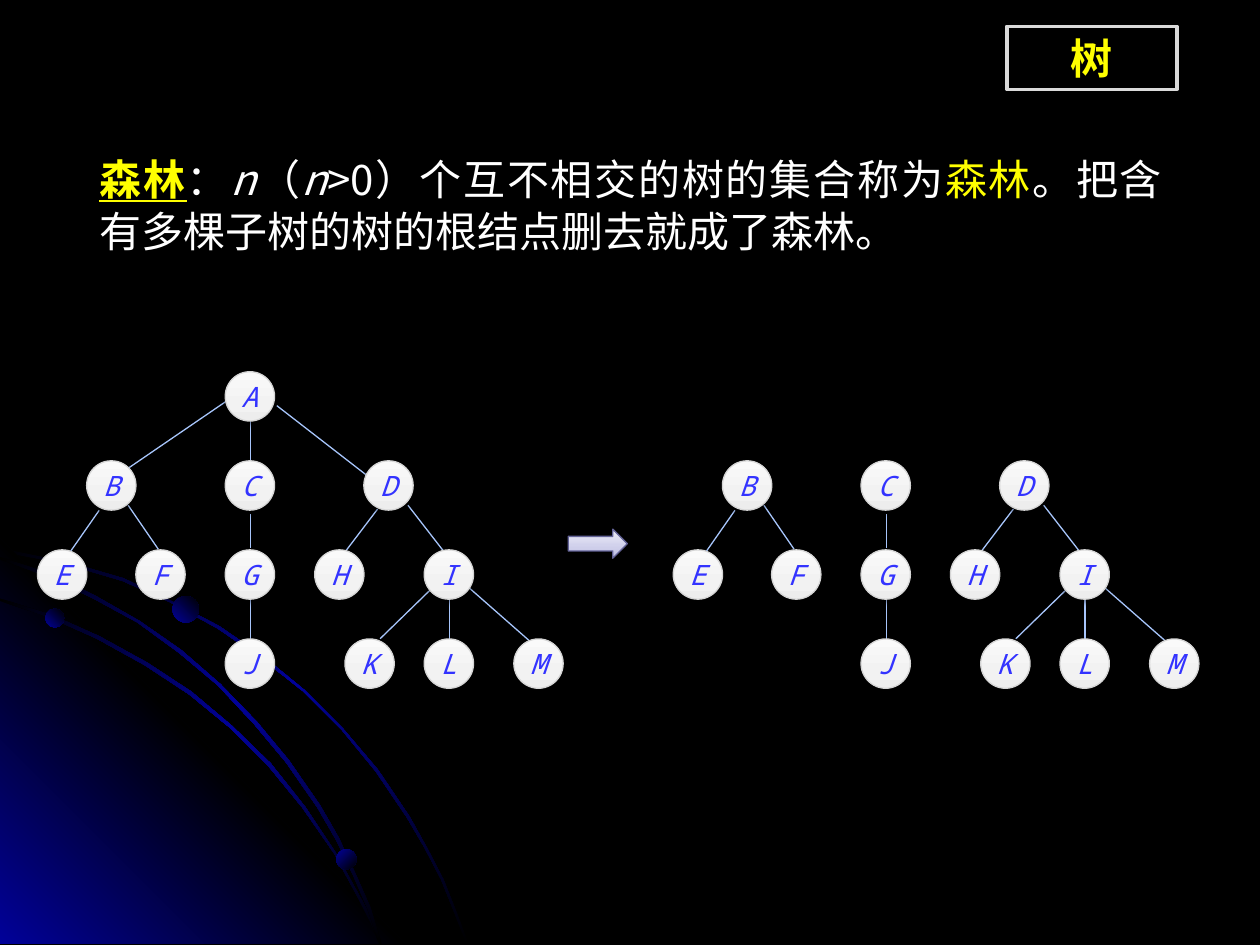
import pptx
import pptx.util
import pptx.dml.color
import pptx.enum.shapes
import pptx.enum.text
import pptx.oxml
import pptx.oxml.ns
from dataclasses import dataclass

Pt = pptx.util.Pt
SHAPE = pptx.enum.shapes.MSO_SHAPE
ALIGN = pptx.enum.text.PP_ALIGN
ANCHOR = pptx.enum.text.MSO_ANCHOR


@dataclass(frozen=True)
class Theme:
    black: str = "000000"
    white: str = "FFFFFF"
    yellow: str = "FFFF00"
    glow: str = "010199"
    edge: str = "A7C5FB"
    frame: str = "DADADA"
    letter: str = "3333FF"
    node_line: str = "D5D5D5"
    arrow_line: str = "636397"
    node_fill: tuple = ((0, "EDEDED"), (35, "F2F2F2"), (100, "FAFAFA"))
    arrow_fill: tuple = ((0, "B9B9E2"), (35, "CECEEA"), (100, "ECECF7"))
    cjk: str = "Noto Sans CJK SC"
    mono: str = "Noto Sans Mono"
    serif: str = "Times New Roman"
    body: int = 24
    label: int = 16
    hairline: float = 0.75


T = Theme()
NODE = 28.2
ROW = 50.9
# letter: (left, row) within the tree box
NODES = {"A": (107.3, 0), "B": (28.1, 1), "C": (107.3, 1), "D": (186.5, 1),
         "E": (0, 2), "F": (56.2, 2), "G": (107.3, 2), "H": (158.4, 2),
         "I": (221, 2), "J": (107.3, 3), "K": (175.7, 3), "L": (221, 3),
         "M": (272.2, 3)}
# (parent, child): x1, y1, x2, y2 within the tree box
EDGES = {"AB": (107.3, 17.3, 50.4, 56.2), "AC": (121.7, 28.1, 121.7, 51.1),
         "AD": (136.8, 19.4, 187.9, 59), "BE": (35.3, 79.2, 18.7, 103),
         "BF": (51.8, 76.3, 69.1, 101.5), "CG": (121.7, 81.4, 121.7, 100.8),
         "GJ": (121.7, 130.3, 121.7, 152.6), "DH": (194.4, 78.5, 176.4, 102.2),
         "DI": (211.7, 76.3, 231.8, 102.2), "IK": (224.6, 124.6, 195.8, 152.6),
         "IL": (235.4, 130.3, 235.4, 152.6), "IM": (246.2, 123.1, 281.5, 154.1)}

# Outlines in steps of 0.72 pt
STEP = 0.72
ARCS = [
    [(57, 447), (28, 441), (0, 435), (0, 438), (28, 443), (56, 449), (97, 461),
     (135, 478), (173, 499), (208, 523), (241, 549), (271, 579), (298, 612),
     (323, 649), (337, 673), (350, 698), (360, 723), (370, 749), (372, 749),
     (362, 723), (352, 698), (339, 673), (325, 648), (300, 611), (272, 578),
     (242, 548), (209, 521), (174, 497), (136, 477), (98, 459)],
    [(285, 714), (294, 732), (301, 749), (303, 749), (296, 730), (286, 712),
     (266, 676), (242, 640), (215, 606), (184, 576), (152, 549), (117, 526),
     (79, 505), (41, 488), (0, 475), (0, 477), (39, 490), (77, 507), (115, 528),
     (150, 551), (183, 578), (213, 608), (240, 641), (265, 677)],
    [(0, 442), (0, 444), (36, 457), (74, 475), (109, 494), (142, 518), (173, 544),
     (202, 575), (227, 605), (252, 641), (267, 667), (280, 694), (292, 722),
     (301, 749), (303, 749), (294, 720), (282, 693), (269, 665), (254, 639),
     (229, 603), (204, 573), (175, 543), (144, 516), (111, 493), (76, 473),
     (39, 455)],
]
CORNER = [(322, 749), (0, 749), (0, 427)]
BEADS = [(25.9, 347.8, 10.8, 315), (192.2, 485.3, 11.5, 45), (98.6, 340.6, 15.1, 315)]


def rgb(value):
    return pptx.dml.color.RGBColor.from_string(value)


def element(xml):
    return pptx.oxml.parse_xml(
        xml.replace("XMLNS", pptx.oxml.ns.nsdecls("a"), 1))


def gradient(sp, stops, angle):
    """Fill with (percent, colour) stops; the angle runs clockwise."""
    sp.fill.gradient()
    sp.fill.gradient_angle = (360 - angle) % 360
    gs_list = sp._element.spPr.find(".//" + pptx.oxml.ns.qn("a:gsLst"))
    for gs in list(gs_list):
        gs_list.remove(gs)
    for pos, colour in stops:
        gs_list.append(element(f'<a:gs XMLNS pos="{pos * 1000}">'
                               f'<a:srgbClr val="{colour}"/></a:gs>'))


def outline(sp, colour, width):
    sp.line.color.rgb = rgb(colour)
    sp.line.width = Pt(width)


def soft_shadow(sp):
    effects = sp._element.spPr.find(pptx.oxml.ns.qn("a:effectLst"))
    effects.append(element(
        f'<a:outerShdw XMLNS blurRad="{Pt(3.1)}" dist="{Pt(1.6)}" dir="5400000" '
        f'rotWithShape="0"><a:srgbClr val="{T.black}"><a:alpha val="38000"/>'
        '</a:srgbClr></a:outerShdw>'))


def shape(s, kind, x, y, w, h):
    sp = s.shapes.add_shape(kind, Pt(x), Pt(y), Pt(w), Pt(h))
    sp.shadow.inherit = False
    return sp


def text(p, words, size=T.body, font=T.cjk, color=T.white, **style):
    r = p.add_run()
    r.text = words
    r.font.size, r.font.name = Pt(size), font
    r.font.color.rgb = rgb(color)
    for name, value in style.items():
        setattr(r.font, name, value)
    r._r.get_or_add_rPr().find(pptx.oxml.ns.qn("a:latin")).addnext(
        element(f'<a:ea XMLNS typeface="{T.cjk}"/>'))


def backdrop(s):
    s.background.fill.solid()
    s.background.fill.fore_color.rgb = rgb(T.black)
    band = ((0, T.black), (50, T.glow), (100, T.black))
    glow = ((0, T.glow), (50, T.black), (100, T.glow))
    first, *others = ARCS
    for points, stops, angle in [(first, band, 45), (CORNER, glow, 315),
                                 *((arc, band, 45) for arc in others)]:
        builder = s.shapes.build_freeform(*points[0], scale=Pt(STEP))
        builder.add_line_segments(points[1:], close=True)
        sp = builder.convert_to_shape()
        sp.shadow.inherit = False
        gradient(sp, stops, angle)
        sp.line.fill.background()
    for x, y, size, angle in BEADS:
        sp = shape(s, SHAPE.OVAL, x, y, size, size)
        gradient(sp, ((0, T.glow), (100, T.black)), angle)
        sp.line.fill.background()


def definition(s, x, y, w, h):
    tf = s.shapes.add_textbox(Pt(x), Pt(y), Pt(w), Pt(h)).text_frame
    tf.word_wrap = True
    p = tf.paragraphs[0]
    p.alignment, p.line_spacing = ALIGN.JUSTIFY, Pt(30)
    text(p, "森林", color=T.yellow, bold=True, underline=True)
    text(p, "：")
    text(p, "n", italic=True)
    text(p, "（")
    text(p, "n", italic=True)
    text(p, ">0）个互不相交的树的集合称为")
    text(p, "森林", color=T.yellow)
    text(p, "。把含有多棵子树的树的根结点删去就成了森林。")


def tree(s, x, y, letters):
    """Draw the nodes named in letters and the edges between them."""
    for (parent, child), (x1, y1, x2, y2) in EDGES.items():
        if parent in letters and child in letters:
            line = s.shapes.add_connector(
                pptx.enum.shapes.MSO_CONNECTOR.STRAIGHT,
                Pt(x + x1), Pt(y + y1), Pt(x + x2), Pt(y + y2))
            outline(line, T.edge, T.hairline)
            line._element.spPr.append(element("<a:effectLst XMLNS/>"))
    for letter in letters:
        left, row = NODES[letter]
        sp = shape(s, SHAPE.OVAL, x + left, y + row * ROW, NODE, NODE)
        gradient(sp, T.node_fill, 270)
        outline(sp, T.node_line, T.hairline)
        soft_shadow(sp)
        tf = sp.text_frame
        tf.word_wrap, tf.vertical_anchor = False, ANCHOR.MIDDLE
        p = tf.paragraphs[0]
        p.alignment = ALIGN.CENTER
        text(p, letter, size=T.label, font=T.mono, color=T.letter, italic=True)


def arrow(s, x, y, w, h):
    sp = shape(s, SHAPE.RIGHT_ARROW, x, y, w, h)
    gradient(sp, T.arrow_fill, 270)
    outline(sp, T.arrow_line, T.hairline)
    soft_shadow(sp)


def heading(s, x, y, w, h):
    sp = shape(s, SHAPE.RECTANGLE, x, y, w, h)
    sp.fill.background()
    outline(sp, T.frame, 2)
    tf = sp.text_frame
    tf.word_wrap, tf.vertical_anchor = True, ANCHOR.TOP
    p = tf.paragraphs[0]
    p.alignment = ALIGN.CENTER
    text(p, "树", font=T.serif, color=T.yellow, bold=True)


def main():
    prs = pptx.Presentation()
    prs.slide_width, prs.slide_height = Pt(720), Pt(540)
    s = prs.slides.add_slide(prs.slide_layouts[6])
    backdrop(s)
    definition(s, 49.7, 82.8, 621.4, 67.7)
    tree(s, 21.4, 212.4, "ABCDEFGHIJKLM")
    tree(s, 384.7, 212.4, "BCDEFGHIJKLM")
    arrow(s, 324.7, 302.4, 33.8, 16.6)
    heading(s, 575.3, 15.1, 97.2, 36)
    prs.save("out.pptx")


if __name__ == "__main__":
    main()
